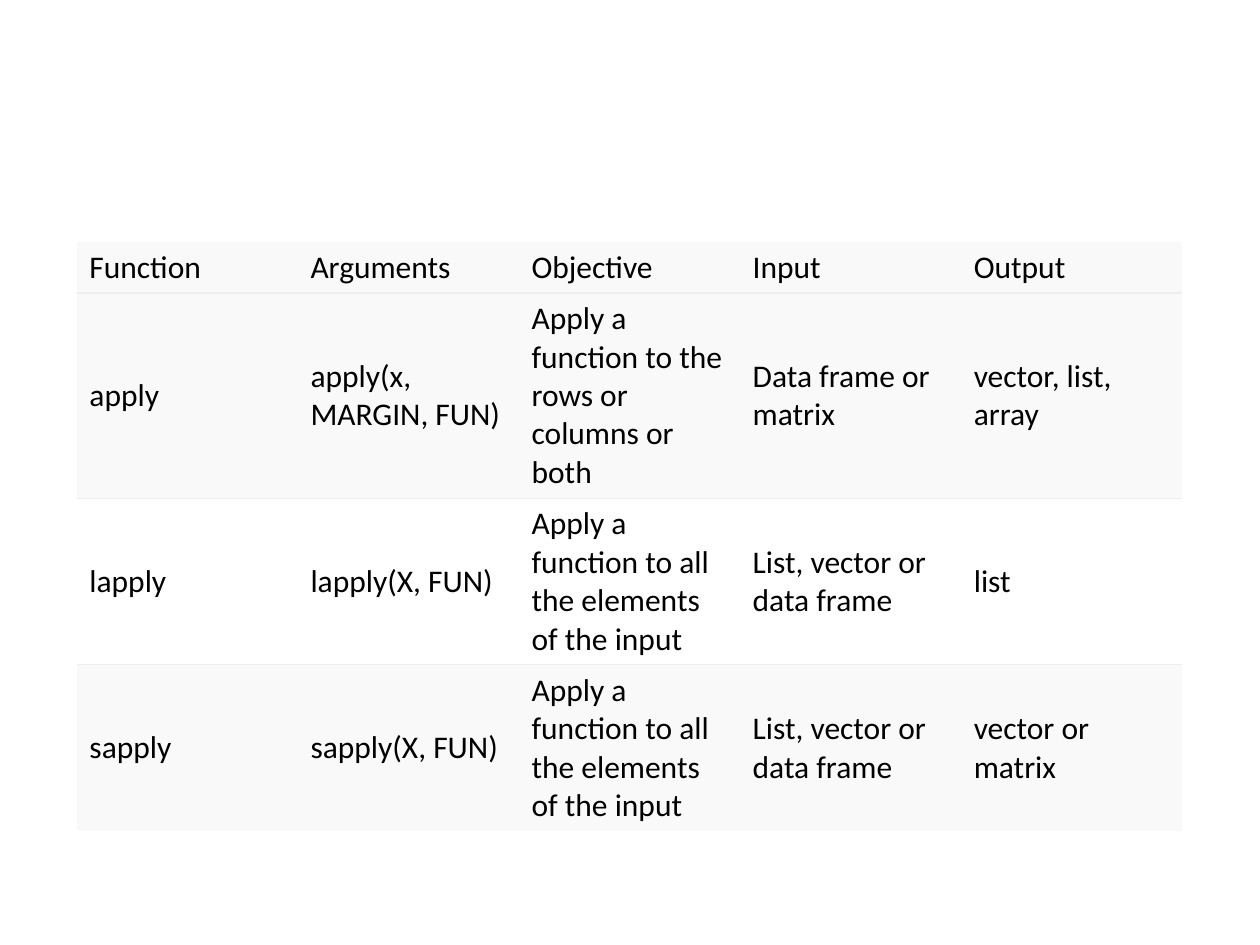
from lxml import etree
from pptx import Presentation
from pptx.dml.color import RGBColor
from pptx.enum.text import MSO_VERTICAL_ANCHOR as Anchor
from pptx.oxml.ns import qn
from pptx.util import Inches, Pt

COLORS = {"text": "000000", "shade": "F9F9F9", "plain": "FFFFFF", "rule": "EEEEEE"}
COLUMN_WIDTH = 1.755
ROW_HEIGHTS = [0.4, 1.63, 1.32, 1.32]
ROW_FILLS = ["shade", "shade", "plain", "shade"]
ROWS = [
    ["Function", "Arguments", "Objective", "Input", "Output"],
    ["apply", "apply(x, MARGIN, FUN)", "Apply a function to the rows or columns or both",
     "Data frame or matrix", "vector, list, array"],
    ["lapply", "lapply(X, FUN)", "Apply a function to all the elements of the input",
     "List, vector or data frame", "list"],
    ["sapply", "sapply(X, FUN)", "Apply a function to all the elements of the input",
     "List, vector or data frame", "vector or matrix"],
]


def set_borders(cell, ruled_sides):
    properties = cell._tc.get_or_add_tcPr()
    for side in "LRTB":
        line = etree.SubElement(properties, qn(f"a:ln{side}"), w=str(Pt(0.75)))
        if side in ruled_sides:
            fill = etree.SubElement(line, qn("a:solidFill"))
            etree.SubElement(fill, qn("a:srgbClr"), val=COLORS["rule"])
        else:
            etree.SubElement(line, qn("a:noFill"))


def style_cell(cell, text, fill_name, ruled_sides):
    set_borders(cell, ruled_sides)
    cell.fill.solid()
    cell.fill.fore_color.rgb = RGBColor.from_string(COLORS[fill_name])
    cell.vertical_anchor = Anchor.MIDDLE
    cell.text = text
    font = cell.text_frame.paragraphs[0].font
    font.name = "Calibri"
    font.size = Pt(18)
    font.color.rgb = RGBColor.from_string(COLORS["text"])


def add_function_table(slide):
    column_count = len(ROWS[0])
    frame = slide.shapes.add_table(
        len(ROWS), column_count, Inches(0.61), Inches(1.92),
        Inches(COLUMN_WIDTH * column_count), Inches(sum(ROW_HEIGHTS)))
    table = frame.table
    table.first_row = False
    table.horz_banding = False
    for column in table.columns:
        column.width = Inches(COLUMN_WIDTH)
    last_row = len(ROWS) - 1
    for row_index, texts in enumerate(ROWS):
        table.rows[row_index].height = Inches(ROW_HEIGHTS[row_index])
        ruled_sides = ("T" if row_index > 0 else "") + ("B" if row_index < last_row else "")
        for column_index, text in enumerate(texts):
            style_cell(table.cell(row_index, column_index), text,
                       ROW_FILLS[row_index], ruled_sides)


def main():
    presentation = Presentation()
    presentation.slide_width = Inches(10)
    presentation.slide_height = Inches(7.5)
    slide = presentation.slides.add_slide(presentation.slide_layouts[6])
    add_function_table(slide)
    presentation.save("out.pptx")


if __name__ == "__main__":
    main()
